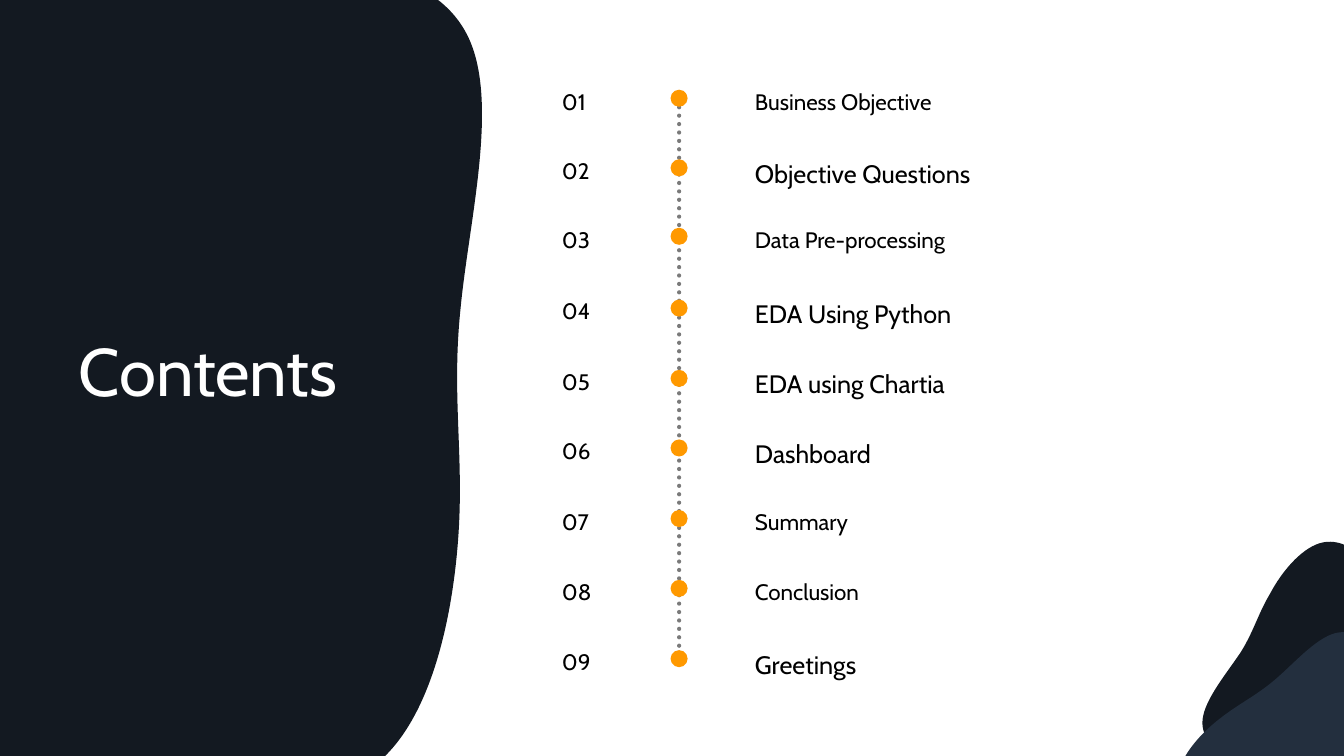
"""Build the contents slide: a numbered timeline beside a dark wavy panel."""
from lxml import etree
from pptx import Presentation
from pptx.dml.color import RGBColor
from pptx.enum.dml import MSO_LINE
from pptx.enum.shapes import MSO_CONNECTOR, MSO_SHAPE
from pptx.enum.text import MSO_ANCHOR, MSO_AUTO_SIZE, PP_ALIGN
from pptx.oxml.ns import qn
from pptx.util import Pt

STRAIGHT = MSO_CONNECTOR.STRAIGHT
OVAL = MSO_SHAPE.OVAL
ROUND_DOT = MSO_LINE.ROUND_DOT
MIDDLE = MSO_ANCHOR.MIDDLE
GROW = MSO_AUTO_SIZE.SHAPE_TO_FIT_TEXT
NO_FIT = MSO_AUTO_SIZE.NONE
LEFT = PP_ALIGN.LEFT

TITLE = "Contents"
TOPICS = [
    ("Business Objective", "small", 53.3),
    ("Objective Questions", "large", 103),
    ("Data Pre-processing", "small", 151.9),
    ("EDA Using Python", "large", 203.2),
    ("EDA using Chartia", "large", 253.4),
    ("Dashboard", "large", 303.1),
    ("Summary", "small", 353.5),
    ("Conclusion", "small", 403.4),
    ("Greetings", "large", 453.6),
]

THEME = {
    "font": "Cabin", "title": 48, "large": 18, "small": 16,
    "white": "FFFFFF", "text": "000000", "dark": "131921",
    "navy": "232F3E", "dot": "FF9900", "line": "595959",
}

PANEL = [
    (209.5, -25.2),
    (264.2, -26.6, 319.7, -13.7, 337, 32.4),
    (355, 79.9, 334.8, 159.8, 329, 220.3),
    (322.6, 281.5, 331.2, 323.3, 327.6, 380.2),
    (324, 437, 309.6, 507.6, 273.6, 541.4),
    (242.6, 571, 195.8, 571.7, 153.4, 553),
    (141.1, 546.5), (141.1, 553.7), (0, 553.7), (0, -10.8), (130.3, -10.8),
    (155.5, -20.9, 182.2, -25.2, 209.5, -25.2),
]
BACK_HILL = [
    (859, 514.1),
    (860.4, 499.7, 876.2, 481, 886.3, 465.8),
    (895.7, 450.7, 898.6, 438.5, 907.2, 424.1),
    (915.1, 409, 928.8, 392.4, 942.5, 388.1),
    (956.2, 383.8, 970.6, 392.4, 979.2, 405.4),
    (987.8, 419, 990.7, 437, 988.6, 455.8),
    (986.4, 473.8, 979.2, 491.8, 969.1, 509),
    (958.3, 526.3, 945.4, 542.2, 931, 549.4),
    (915.8, 555.8, 900, 553, 885.6, 546.5),
    (870.5, 539.3, 857.5, 528.5, 859, 514.1),
]
FRONT_HILL = [
    (954, 452.2),
    (939.6, 455.8, 923.8, 474.5, 910.1, 486),
    (896.4, 497.5, 884.9, 502.6, 871.2, 513.4),
    (858.2, 523.4, 843.8, 539.3, 841.7, 553),
    (839.5, 567.4, 849.6, 580.3, 864, 586.8),
    (878.4, 593.3, 897.1, 594, 915.1, 589),
    (932.4, 583.9, 949.7, 574.6, 964.8, 561.6),
    (980.6, 548.6, 994.3, 533.5, 998.6, 517.7),
    (1003.7, 502.6, 997.9, 486.7, 989.3, 473),
    (980.6, 460.1, 968.4, 448.6, 954, 452.2),
]

NUMBER_LEFT, NUMBER_WIDTH = 394.3, 58.3
TOPIC_LEFT, TOPIC_WIDTH = 532.2, 185
ROW_HEIGHT = {"small": 30.2, "large": 33.1}
DOT_SIZE, DOT_OFFSET = 12.2, 10.8
AXIS, AXIS_START, AXIS_END = 485.1, 70.6, 468


def color(name):
    return RGBColor.from_string(THEME[name])


def apply_format(target, values):
    for name, value in values.items():
        setattr(target, name, value)


def paint(shape, fill):
    shape.shadow.inherit = False
    shape.fill.solid()
    shape.fill.fore_color.rgb = color(fill)
    shape.line.fill.background()


def add_blob(page, outline, fill):
    points = [(Pt(x), Pt(y)) for segment in outline
              for x, y in zip(segment[::2], segment[1::2])]
    builder = page.shapes.build_freeform(*points[0])
    builder.add_line_segments(points[1:], close=True)
    blob = builder.convert_to_shape()
    edges = iter(list(blob._element.iter(qn("a:lnTo"))))
    for segment in outline[1:]:
        edge = next(edges)
        if len(segment) == 6:
            edge.tag = qn("a:cubicBezTo")
            for extra in (next(edges), next(edges)):
                edge.append(extra[0])
                extra.getparent().remove(extra)
    paint(blob, fill)
    return blob


def write(box, text, size, ink, spacing):
    para = box.text_frame.paragraphs[0]
    apply_format(para, {"alignment": LEFT, "line_spacing": spacing, "space_before": Pt(0)})
    span = para.add_run()
    span.text = text
    apply_format(span.font, {"name": THEME["font"], "size": Pt(THEME[size])})
    span.font.color.rgb = color(ink)


def add_label(page, text, left, top, width, size):
    box = page.shapes.add_textbox(Pt(left), Pt(top), Pt(width), Pt(ROW_HEIGHT[size]))
    apply_format(box.text_frame, {"word_wrap": True, "auto_size": GROW})
    write(box, text, size, "text", 1.3)


def add_title(page):
    title = page.shapes.title
    apply_format(title, {"left": Pt(49), "top": Pt(231.2), "width": Pt(212.4), "height": Pt(65.5)})
    apply_format(title.text_frame, {
        "word_wrap": False, "auto_size": NO_FIT, "vertical_anchor": MIDDLE})
    write(title, TITLE, "title", "white", 1.0)
    panel = add_blob(page, PANEL, "dark")
    title._element.addprevious(panel._element)


def add_timeline(page):
    axis = page.shapes.add_connector(
        STRAIGHT, Pt(AXIS), Pt(AXIS_START), Pt(AXIS), Pt(AXIS_END))
    apply_format(axis.line, {"width": Pt(3), "dash_style": ROUND_DOT})
    axis.line.color.rgb = color("line")
    properties = axis._element.spPr
    properties.find(qn("a:ln")).set("cap", "rnd")
    tint = next(properties.iter(qn("a:srgbClr")))
    etree.SubElement(tint, qn("a:alpha")).set("val", "80000")
    etree.SubElement(properties, qn("a:effectLst"))

    for number, (topic, size, top) in enumerate(TOPICS, 1):
        dot = page.shapes.add_shape(
            OVAL, Pt(AXIS - DOT_SIZE / 2), Pt(top + DOT_OFFSET), Pt(DOT_SIZE), Pt(DOT_SIZE))
        paint(dot, "dot")
        add_label(page, f"{number:02}", NUMBER_LEFT, top, NUMBER_WIDTH, "small")
        add_label(page, topic, TOPIC_LEFT, top, TOPIC_WIDTH, size)


def main():
    deck = Presentation()
    apply_format(deck, {"slide_width": Pt(960), "slide_height": Pt(540)})
    page = deck.slides.add_slide(deck.slide_layouts[5])
    add_title(page)
    add_timeline(page)
    add_blob(page, BACK_HILL, "dark")
    add_blob(page, FRONT_HILL, "navy")
    deck.save("out.pptx")


if __name__ == "__main__":
    main()
